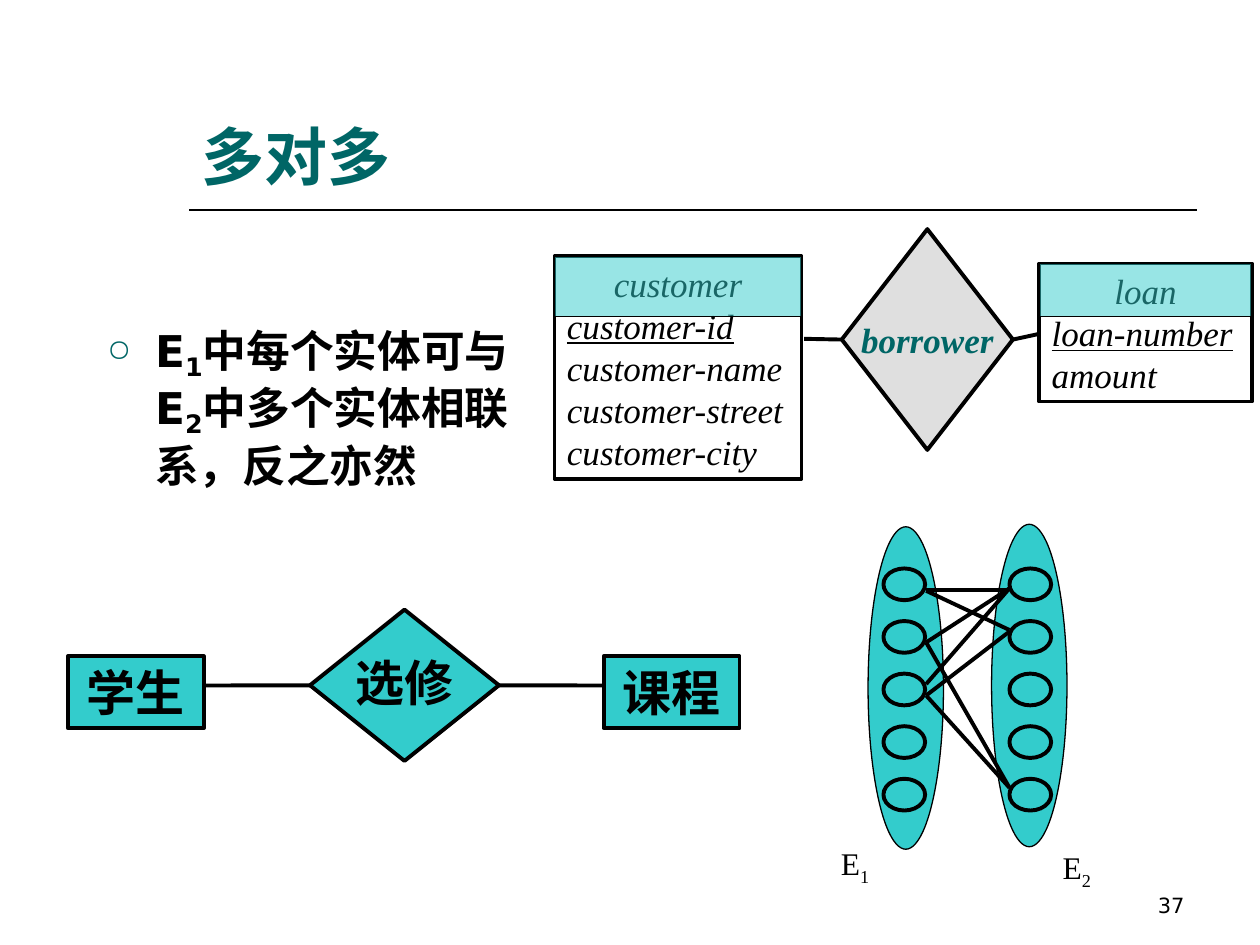
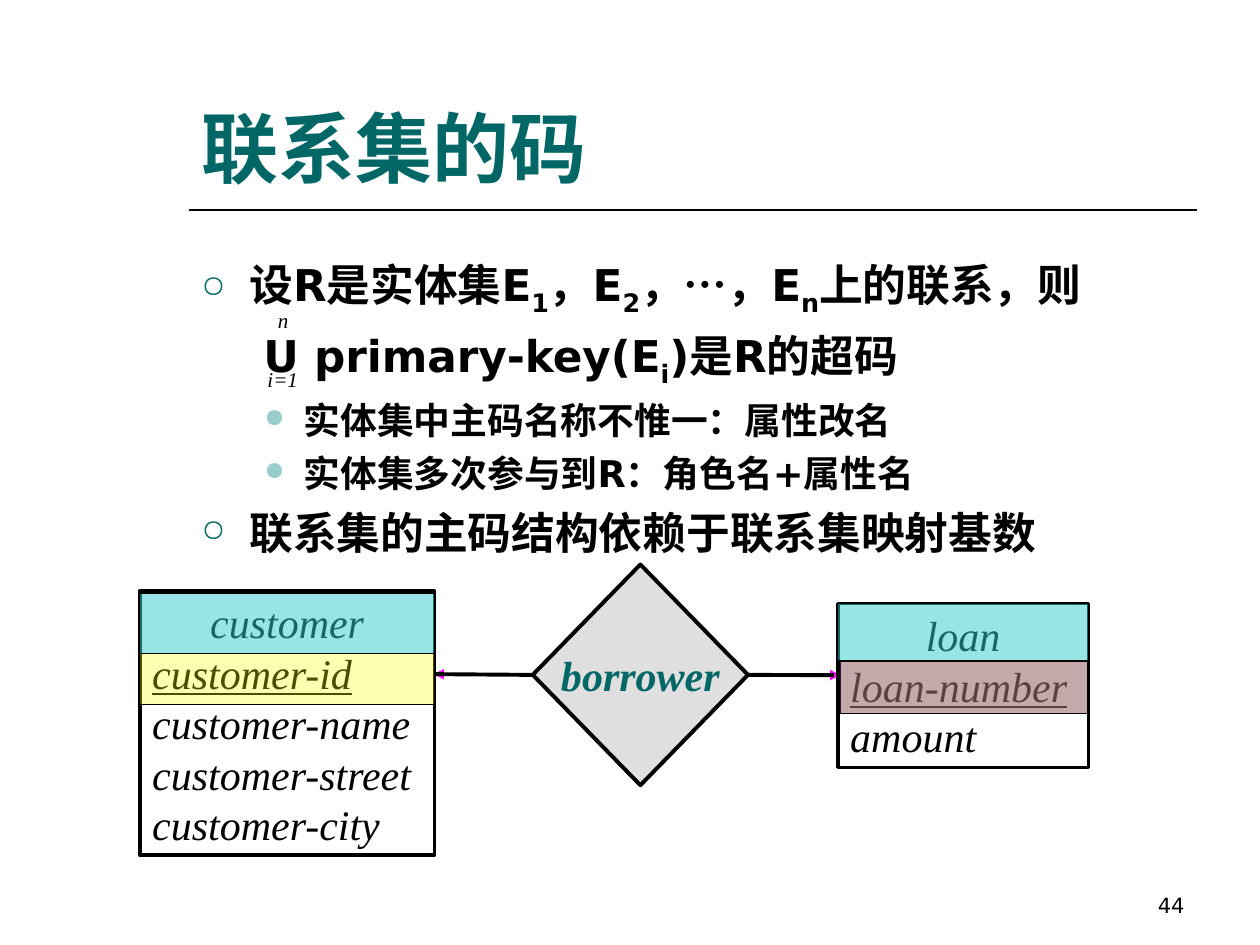
import pptx
import pptx.dml.color
import pptx.enum.shapes
import pptx.enum.text
import pptx.oxml.ns
import pptx.util
from lxml import etree

Cm, Pt = pptx.util.Cm, pptx.util.Pt
SHAPES = pptx.enum.shapes.MSO_SHAPE
ALIGN = pptx.enum.text.PP_ALIGN
ANCHOR = pptx.enum.text.MSO_ANCHOR
qn = pptx.oxml.ns.qn

BLACK, TEAL, TURQUOISE = "000000", "006666", "33CCCC"
PALE_TEAL, GREY, MAGENTA = "99CCCC", "DFDFDF", "FF00FF"
YELLOW, PURPLE = "FFFF00", "7030A0"
SERIF, SANS, TITLE_FONT = "Times New Roman", "DejaVu Sans", "Arial"

ATTRIBUTES = {
    "customer": ["customer-id", "customer-name", "customer-street", "customer-city"],
    "loan": ["loan-number", "amount"],
}


def color(value):
    return pptx.dml.color.RGBColor.from_string(value)


def add_child(parent, tag, **attributes):
    child = etree.SubElement(parent, qn(tag))
    for name, value in attributes.items():
        child.set(name, value)
    return child


def add_runs(paragraph, text, ink=BLACK, subscript=-25, **font_format):
    """Write text whose every second piece between bars is a subscript."""
    for index, piece in enumerate(text.split("|")):
        if not piece:
            continue
        run = paragraph.add_run()
        run.text = piece
        for name, value in font_format.items():
            setattr(run.font, name, value)
        run.font.color.rgb = color(ink)
        if piece == "…":
            run.font.name = TITLE_FONT
        if index % 2:
            run.font._element.set("baseline", str(subscript * 1000))


def add_text_box(slide, box, text="", align=ALIGN.LEFT, anchor=ANCHOR.TOP, **font_format):
    shape = slide.shapes.add_textbox(*map(Cm, box))
    frame = shape.text_frame
    frame.word_wrap = True
    frame.vertical_anchor = anchor
    frame.paragraphs[0].alignment = align
    add_runs(frame.paragraphs[0], text, **font_format)
    return shape


def add_figure(slide, kind, box, fill=None, alpha=None, width=2.25, text="",
               anchor=ANCHOR.TOP, wrap=True, **font_format):
    shape = slide.shapes.add_shape(kind, *map(Cm, box))
    shape.shadow.inherit = False
    shape.line.color.rgb = color(BLACK)
    shape.line.width = Pt(width)
    if fill:
        shape.fill.solid()
        shape.fill.fore_color.rgb = color(fill)
    else:
        shape.fill.background()
    if alpha:
        srgb = shape._element.spPr.find(qn("a:solidFill")).find(qn("a:srgbClr"))
        add_child(srgb, "a:alpha", val=str(alpha * 1000))
    frame = shape.text_frame
    frame.word_wrap = wrap
    frame.vertical_anchor = anchor
    if text:
        frame.paragraphs[0].alignment = ALIGN.CENTER
        add_runs(frame.paragraphs[0], text, **font_format)
    return shape


def add_line(slide, start, end, width=2.25, ink=BLACK, begin=None, arrow=False):
    """Draw a line; begin is a (shape, side) pair to join its start to."""
    line = slide.shapes.add_connector(
        pptx.enum.shapes.MSO_CONNECTOR.STRAIGHT, *map(Cm, (*start, *end)))
    line.line.color.rgb = color(ink)
    line.line.width = Pt(width)
    if arrow:
        add_child(line.line._get_or_add_ln(), "a:tailEnd", type="triangle")
    add_child(line._element.spPr, "a:effectLst")
    if begin:
        line.begin_connect(*begin)
    return line


def add_base(presentation, title, title_size, number):
    """Title, rule and page number shared by the slides."""
    slide = presentation.slides.add_slide(presentation.slide_layouts[6])
    add_line(slide, (3.81, 4.24), (24.13, 4.24), width=1)
    add_text_box(slide, (18.21, 17.35, 5.92, 1.27), number, ALIGN.RIGHT, ANCHOR.BOTTOM,
                 name=SANS, size=Pt(12))
    add_text_box(slide, (3.81, 0.84, 20.32, 3.18), title, anchor=ANCHOR.BOTTOM,
                 name=TITLE_FONT, size=Pt(title_size), bold=True, ink=TEAL)
    return slide


# Paragraph styles of the body: left indent, first-line indent, bullet, size, space before
BODY_STYLES = {
    "main": (0.97, -0.97, ("○", TEAL), 25, 6.2),
    "formula": (1.25, 0, None, 25, 6.2),
    "detail": (2.06, -0.79, ("●", PALE_TEAL), 21, 5.2),
}


def add_body(slide, box, items, subscript=-25):
    frame = add_text_box(slide, box).text_frame
    for index, (style, text) in enumerate(items):
        left, first, bullet, size, space = BODY_STYLES[style]
        paragraph = frame.add_paragraph() if index else frame.paragraphs[0]
        properties = paragraph._p.get_or_add_pPr()
        properties.set("marL", str(Cm(left)))
        properties.set("indent", str(Cm(first)))
        if bullet:
            character, ink = bullet
            add_child(add_child(properties, "a:buClr"), "a:srgbClr", val=ink)
            add_child(properties, "a:buSzPct", val="70000")
            add_child(properties, "a:buChar", char=character)
        if index:
            paragraph.space_before = Pt(space)
        add_runs(paragraph, text, subscript=subscript, name=SANS, size=Pt(size), bold=True)


def add_entity(slide, box, name, size, header_height, header_offset=0):
    """Entity box: name under a tinted header, then its attributes, key underlined."""
    left, top, width, _ = box
    font_format = {"name": SERIF, "size": Pt(size), "italic": True}
    entity = add_figure(slide, SHAPES.RECTANGLE, box, width=2, text=name, **font_format)
    for index, attribute in enumerate(ATTRIBUTES[name]):
        paragraph = entity.text_frame.add_paragraph()
        paragraph.alignment = ALIGN.LEFT
        add_runs(paragraph, attribute, underline=index == 0, **font_format)
    add_figure(slide, SHAPES.RECTANGLE, (left, top + header_offset, width, header_height),
               TURQUOISE, alpha=50, width=0.75)


def add_borrower(slide, box, size, left_end, right_end, arrow_ends=()):
    """Relationship diamond with lines to both sides, over arrows if given."""
    diamond = add_figure(slide, SHAPES.DIAMOND, box, GREY, text="borrower",
                         anchor=ANCHOR.MIDDLE, wrap=False, name=SERIF, size=Pt(size),
                         bold=True, italic=True, ink=TEAL)
    for side, end in zip((1, 3), arrow_ends):
        add_line(slide, end, end, 1.25, MAGENTA, (diamond, side), arrow=True)
    for side, end in zip((1, 3), (left_end, right_end)):
        add_line(slide, end, end, begin=(diamond, side))


def add_enrolment(slide, left, top):
    """Student and course joined by a relationship diamond."""
    font_format = {"name": SERIF, "size": Pt(28), "bold": True}
    for offset, name in ((0, "学生"), (10.8, "课程")):
        add_figure(slide, SHAPES.RECTANGLE, (left + offset, top + 0.94, 2.74, 1.45),
                   TURQUOISE, text=name, **font_format)
    diamond = add_figure(slide, SHAPES.DIAMOND, (left + 4.88, top, 3.81, 3.05), TURQUOISE,
                         text="选修", anchor=ANCHOR.MIDDLE, wrap=False, **font_format)
    diamond.text_frame.paragraphs[0].line_spacing = 0.9
    for side, offset in ((1, 2.74), (3, 10.8)):
        end = (left + offset, top + 1.53)
        add_line(slide, end, end, begin=(diamond, side))


def add_mapping(slide, left, top):
    """Two entity sets of five members with many-to-many links."""
    for offset, drop in ((3.4, 0), (0.91, 0.05)):
        add_figure(slide, SHAPES.OVAL, (left + offset, top + drop, 1.52, 6.5),
                   TURQUOISE, width=0.75)
    for offset in (1.22, 3.76):
        for row in range(5):
            add_figure(slide, SHAPES.OVAL,
                       (left + offset, top + 0.89 + 1.06 * row, 0.84, 0.64))
    links = [(1.32, 1.32), (1.34, 2.13), (2.38, 1.29), (2.38, 5.31),
             (3.22, 1.29), (3.45, 2.16), (3.45, 5.31)]
    for start, end in links:
        add_line(slide, (left + 2.08, top + start), (left + 3.76, top + end))
    for offset, drop, label in ((0, 6.32, "E|1"), (4.47, 6.4, "E|2")):
        add_text_box(slide, (left + offset, top + drop, 1.3, 1.12), label, ALIGN.CENTER,
                     name=SERIF, size=Pt(18))


def build_many_to_many(presentation):
    slide = add_base(presentation, "多对多", 36, "37")
    add_body(slide, (1.91, 6.4, 8.81, 5.51),
             [("main", "E|1|中每个实体可与E|2|中多个实体相联系，反之亦然")], subscript=-20)
    add_enrolment(slide, 1.37, 12.29)
    add_mapping(slide, 16.59, 10.57)
    add_entity(slide, (11.18, 5.16, 4.98, 4.5), "customer", 20, 1.22)
    add_entity(slide, (20.95, 5.31, 4.29, 2.79), "loan", 20, 1.07)
    add_borrower(slide, (16.97, 4.62, 3.45, 4.45), 20, (16.21, 6.83), (20.95, 6.73))


def build_relationship_keys(presentation):
    slide = add_base(presentation, "联系集的码", 44, "44")
    add_body(slide, (3.81, 5.08, 20.04, 11.43), [
        ("main", "设R是实体集E|1|，E|2|，||…||，E|n|上的联系，则"),
        ("formula", "U primary-key(E|i|)是R的超码"),
        ("detail", "实体集中主码名称不惟一：属性改名"),
        ("detail", "实体集多次参与到R：角色名+属性名"),
        ("main", "联系集的主码结构依赖于联系集映射基数"),
    ])
    # Limits of the union sign
    for box, limit in (((4.9, 7.26, 1.6, 0.76), "i=1"), ((5.33, 6.07, 0.76, 0.76), "n")):
        add_text_box(slide, box, limit, ALIGN.CENTER, name=SERIF, size=Pt(12), italic=True)
    add_borrower(slide, (10.74, 11.38, 4.34, 4.45), 24, (8.79, 13.59), (16.81, 13.61),
                 arrow_ends=((8.74, 13.59), (16.94, 13.61)))
    add_entity(slide, (2.82, 11.91, 5.94, 5.33), "customer", 24, 1.22, 0.05)
    add_entity(slide, (16.89, 12.17, 5.05, 3.3), "loan", 24, 1.14)
    # Key highlights
    for box, fill, alpha in (((2.82, 13.18, 5.94, 1.02), YELLOW, 30),
                             ((16.94, 13.34, 5, 1.04), YELLOW, 30),
                             ((16.92, 13.34, 5, 1.04), PURPLE, 41)):
        add_figure(slide, SHAPES.RECTANGLE, box, fill, alpha, width=0.75)


def main():
    presentation = pptx.Presentation()
    presentation.slide_width, presentation.slide_height = Cm(25.4), Cm(19.05)
    build_many_to_many(presentation)
    build_relationship_keys(presentation)
    presentation.save("out.pptx")


if __name__ == "__main__":
    main()
